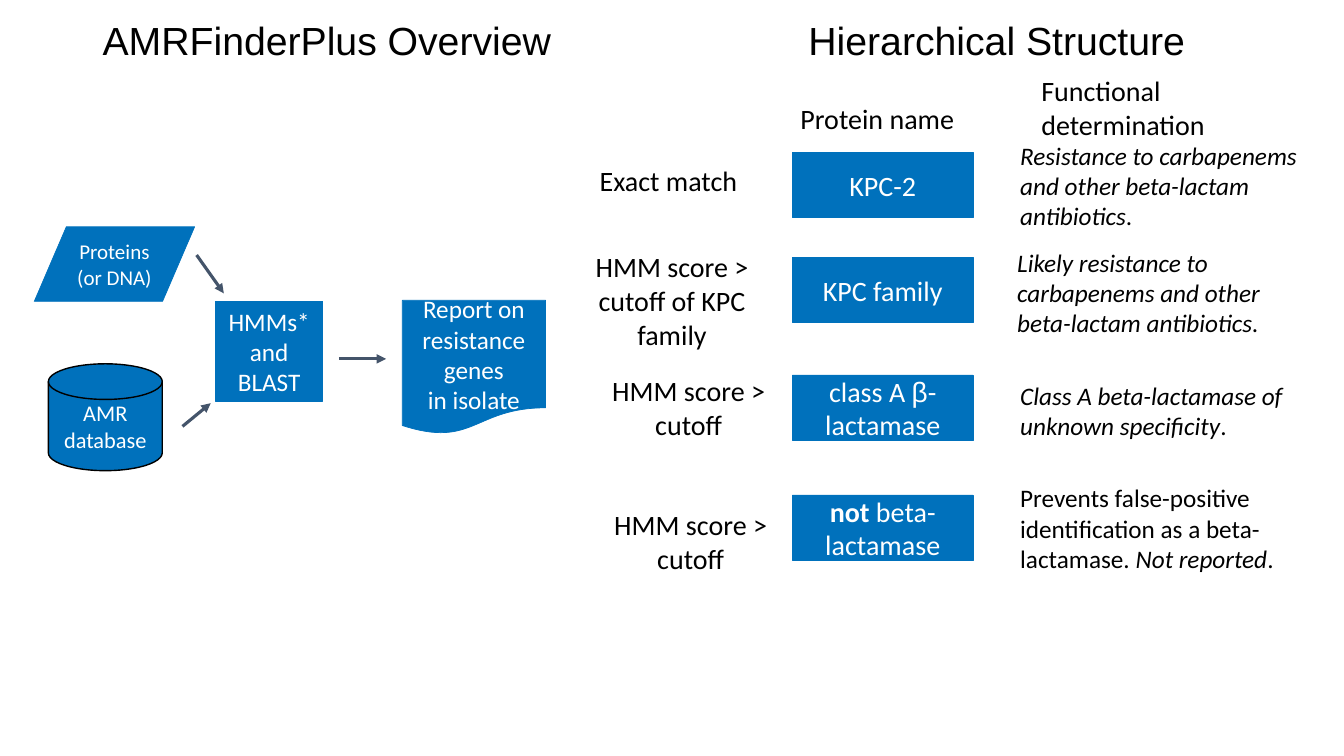
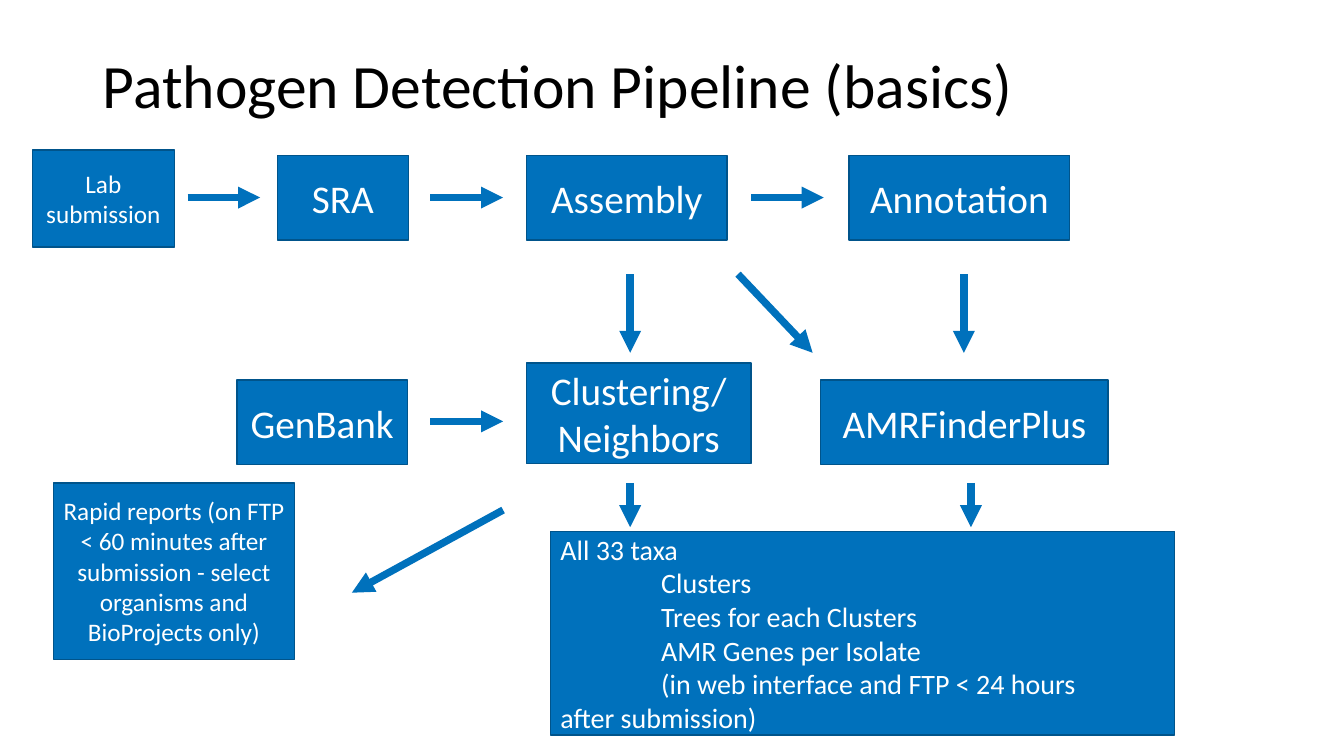
import pptx
import pptx.util
import pptx.dml.color
import pptx.enum.shapes
import pptx.enum.text
import lxml.etree

Inches, Pt = pptx.util.Inches, pptx.util.Pt
RGB = pptx.dml.color.RGBColor
Shape = pptx.enum.shapes.MSO_SHAPE
Anchor = pptx.enum.text.MSO_ANCHOR
Align = pptx.enum.text.PP_ALIGN
NS = "{http://schemas.openxmlformats.org/drawingml/2006/main}"

COLORS = {"blue": "0071BC", "edge": "00548B", "slate": "44546A",
          "black": "000000", "white": "FFFFFF"}
ITALIC = {"italic": True}

# A text is a list of paragraphs; a paragraph is a string or a list of
# (text, format) runs.

# ---- Overview and hierarchy ----
HEADING = ["AMRFinderPlus Overview\tHierarchical Structure"]
FLOW = [  # shape, place, size, outline, text
    (Shape.FLOWCHART_MAGNETIC_DISK, (0.48, 3.61, 1.13, 1.06), 16, ("black", 1),
     ["AMR", "database"]),
    (Shape.FLOWCHART_PROCESS, (2.14, 2.99, 1.06, 0.99), 18, ("blue", 0.5),
     ["HMMs* and", "BLAST"]),
    (Shape.FLOWCHART_DOCUMENT, (3.99, 2.98, 1.42, 1.33), 18, ("blue", 0.5),
     ["Report on", "resistance genes", "in isolate"]),
    (Shape.FLOWCHART_DATA, (0.34, 2.25, 1.59, 0.74), 15, ("blue", 0.5),
     ["Proteins", "(or DNA)"]),
]
FLOW_ARROWS = [(1.95, 2.53, 2.22, 2.91), (1.81, 4.23, 2.09, 4),
               (3.36, 3.56, 3.83, 3.56)]
HEADS = [((7.84, 0.96, 1.79, 0.44), ["Protein name"]),
         ((10.23, 0.68, 2.94, 0.77), ["Functional determination"])]
LEVELS = [  # box top, name, rule place, rule, meaning place, meaning
    (1.51, ["KPC-2"], (5.7, 1.57, 1.86, 0.44), ["Exact match"],
     (10.02, 1.34, 2.98, 1.01),
     [[("Resistance to carbapenems and other beta-lactam antibiotics", ITALIC),
       (".", {})]]),
    (2.55, ["KPC family"], (5.72, 2.43, 1.89, 1.11),
     ["HMM score > cutoff of KPC family"], (9.99, 2.4, 3.02, 1.01),
     [[("Likely resistance to carbapenems and other beta-lactam antibiotics.",
        ITALIC)]]),
    (3.72, [[("class A ", {}), ("β", {"name": "Arial"}), ("-lactamase", {})]],
     (5.79, 3.66, 2.08, 0.77), ["HMM score > cutoff"],
     (10.02, 3.72, 2.97, 0.71),
     [[("Class A beta-lactamase of unknown specificity", ITALIC), (".", {})]]),
    (4.91, [[("not", {"bold": True}), (" beta-lactamase", {})]],
     (5.81, 4.99, 2.08, 0.77), ["HMM score > cutoff"],
     (10.02, 4.74, 2.88, 1.01),
     [[("Prevents false-positive identification as a beta-lactamase. ", {}),
       ("Not reported", ITALIC), (".", {})]]),
]

# ---- Pipeline ----
TITLE = ["Pathogen Detection Pipeline (basics)"]
STEPS = [  # place, size, text
    ((0.32, 1.49, 1.41, 0.96), 18, ["Lab", "submission"]),
    ((2.75, 1.54, 1.3, 0.84), 28, ["SRA"]),
    ((5.22, 1.54, 1.99, 0.84), 28, ["Assembly"]),
    ((8.42, 1.54, 2.19, 0.84), 28, ["Annotation"]),
    ((2.35, 3.77, 1.69, 0.84), 28, ["GenBank"]),
    ((5.22, 3.6, 2.23, 1), 28, ["Clustering/Neighbors"]),
    ((8.14, 3.77, 2.85, 0.84), 28, ["AMRFinderPlus"]),
    ((0.53, 4.79, 2.39, 1.75), 18,
     ["Rapid reports (on FTP < 60 minutes after submission - "
      "select organisms and BioProjects only)"]),
]
RESULTS = ["All 33 taxa", "Clusters", "Trees for each Clusters",
           "AMR Genes per Isolate",
           "(in web interface and FTP < 24 hours\nafter submission)"]
ACROSS = [(1.86, 1.96), (4.27, 1.96), (7.45, 1.96), (4.27, 4.18)]
REACH = 0.72
DOWN = [(6.25, 2.72, 3.5), (9.56, 2.72, 3.5),
        (6.25, 4.79, 5.23), (9.63, 4.79, 5.23)]
SLANTS = [(7.32, 2.72, 8.06, 3.5), (4.99, 5.06, 3.49, 5.88)]


def color(name):
    return RGB.from_string(COLORS[name])


def write(frame, text, size=20, ink="black", name="Calibri", align=Align.LEFT,
          anchor=Anchor.TOP, spacing=None):
    frame.word_wrap = True
    frame.vertical_anchor = anchor
    for i, item in enumerate(text):
        para = frame.paragraphs[0] if i == 0 else frame.add_paragraph()
        para.alignment = align
        if spacing:
            para.line_spacing = spacing
        for words, style in [(item, {})] if isinstance(item, str) else item:
            for j, line in enumerate(words.split("\n")):
                if j:
                    para.add_line_break()
                run = para.add_run()
                run.text = line
                font = run.font
                font.size, font.color.rgb = Pt(size), color(ink)
                font.name = style.get("name", name)
                font.bold = style.get("bold", False)
                font.italic = style.get("italic", False)
    return frame


def label(slide, place, text, **style):
    box = slide.shapes.add_textbox(*map(Inches, place))
    return write(box.text_frame, text, **style)


def block(slide, kind, place, text, edge, **style):
    """Add a blue shape with white text; edge is (colour, width)."""
    shape = slide.shapes.add_shape(kind, *map(Inches, place))
    shape.shadow.inherit = False
    shape.fill.solid()
    shape.fill.fore_color.rgb = color("blue")
    shape.line.color.rgb, shape.line.width = color(edge[0]), Pt(edge[1])
    style = {"align": Align.CENTER, "anchor": Anchor.MIDDLE, **style}
    return write(shape.text_frame, text, ink="white", **style)


def arrow(slide, ends, ink, width):
    line = slide.shapes.add_connector(
        pptx.enum.shapes.MSO_CONNECTOR.STRAIGHT, *map(Inches, ends))
    line.line.color.rgb, line.line.width = color(ink), Pt(width)
    lxml.etree.SubElement(line.line._get_or_add_ln(), NS + "tailEnd",
                          type="triangle")
    lxml.etree.SubElement(line._element.spPr, NS + "effectLst")


def title(slide, top, height, text, **style):
    return label(slide, (0.92, top, 11.5, height), text,
                 anchor=Anchor.MIDDLE, spacing=0.9, **style)


def overview(slide):
    head = title(slide, -0.3, 1.45, HEADING, size=28, name="Arial")
    props = head.paragraphs[0]._p.get_or_add_pPr()
    tabs = lxml.etree.SubElement(props, NS + "tabLst")
    lxml.etree.SubElement(tabs, NS + "tab", pos=str(Inches(7)), algn="l")
    for kind, place, size, edge, text in FLOW:
        block(slide, kind, place, text, edge, size=size)
    for ends in FLOW_ARROWS:
        arrow(slide, ends, "slate", 2.25)
    for place, text in HEADS:
        label(slide, place, text)
    for top, name, left, rule, right, meaning in LEVELS:
        block(slide, Shape.RECTANGLE, (7.86, top, 1.79, 0.65), name,
              ("blue", 0.5))
        label(slide, left, rule, align=Align.CENTER)
        label(slide, right, meaning, size=18)


def pipeline(slide):
    title(slide, 0.4, 0.96, TITLE, size=44)
    edge = ("edge", 1)
    for place, size, text in STEPS:
        block(slide, Shape.RECTANGLE, place, text, edge, size=size)
    frame = block(slide, Shape.RECTANGLE, (5.46, 5.27, 6.19, 2.02), RESULTS,
                  edge, align=Align.LEFT)
    for para in frame.paragraphs[1:]:
        props = para._p.get_or_add_pPr()
        props.set("marL", "0")
        props.set("indent", str(Inches(1)))
    ends = [(x, y, x + REACH, y) for x, y in ACROSS]
    ends += [(x, top, x, end) for x, top, end in DOWN]
    for span in ends + SLANTS:
        arrow(slide, span, "blue", 5.25)


def main():
    deck = pptx.Presentation()
    deck.slide_width, deck.slide_height = Inches(13.33), Inches(7.5)
    for build in (overview, pipeline):
        build(deck.slides.add_slide(deck.slide_layouts[6]))
    deck.save("out.pptx")


if __name__ == "__main__":
    main()
